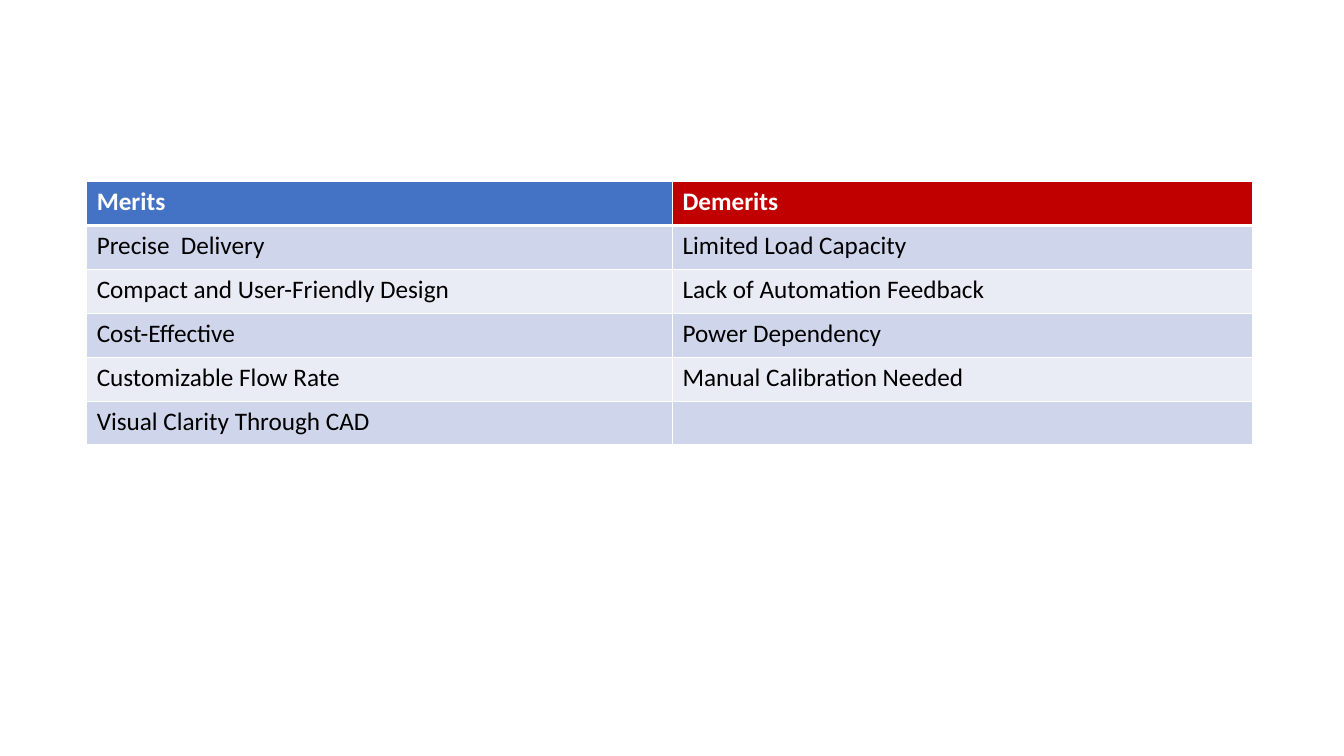
from dataclasses import dataclass

from lxml import etree
from pptx import Presentation
from pptx.dml.color import RGBColor
from pptx.oxml.ns import qn
from pptx.util import Inches, Pt

COLORS = {
    "merits": "4472C4",
    "demerits": "C00000",
    "band_dark": "CFD5EA",
    "band_light": "E9EBF5",
    "white": "FFFFFF",
    "black": "000000",
}
ROW_HEIGHT = 0.436
THIN, THICK = 1, 3


@dataclass(frozen=True)
class Column:
    title: str
    header_color: str
    width: float
    items: tuple[str, ...]


COLUMNS = (
    Column("Merits", "merits", 5.81, (
        "Precise  Delivery",
        "Compact and User-Friendly Design",
        "Cost-Effective",
        "Customizable Flow Rate",
        "Visual Clarity Through CAD",
    )),
    Column("Demerits", "demerits", 5.75, (
        "Limited Load Capacity",
        "Lack of Automation Feedback",
        "Power Dependency",
        "Manual Calibration Needed",
        "",
    )),
)


def set_borders(cell, top: float, bottom: float) -> None:
    properties = cell._tc.get_or_add_tcPr()
    widths = {"lnL": THIN, "lnR": THIN, "lnT": top, "lnB": bottom}
    for tag, width in widths.items():
        line = etree.SubElement(properties, qn(f"a:{tag}"), w=str(Pt(width)))
        fill = etree.SubElement(line, qn("a:solidFill"))
        etree.SubElement(fill, qn("a:srgbClr"), val=COLORS["white"])


def fill_cell(cell, text: str, row: int, fill_color: str) -> None:
    is_header = row == 0
    set_borders(cell, THICK if row == 1 else THIN, THICK if is_header else THIN)
    cell.fill.solid()
    cell.fill.fore_color.rgb = RGBColor.from_string(COLORS[fill_color])
    cell.text_frame.text = text
    for run in cell.text_frame.paragraphs[0].runs:
        run.font.name = "Calibri"
        run.font.size = Pt(18)
        run.font.bold = is_header
        text_color = "white" if is_header else "black"
        run.font.color.rgb = RGBColor.from_string(COLORS[text_color])


def add_comparison(slide, columns: tuple[Column, ...]) -> None:
    row_count = 1 + len(columns[0].items)
    table = slide.shapes.add_table(
        row_count, len(columns), Inches(0.86), Inches(1.8),
        Inches(sum(column.width for column in columns)),
        Inches(row_count * ROW_HEIGHT),
    ).table
    for table_row in table.rows:
        table_row.height = Inches(ROW_HEIGHT)
    for index, column in enumerate(columns):
        table.columns[index].width = Inches(column.width)
        fill_cell(table.cell(0, index), column.title, 0, column.header_color)
        for row, item in enumerate(column.items, start=1):
            band = "band_dark" if row % 2 else "band_light"
            fill_cell(table.cell(row, index), item, row, band)


def main() -> None:
    presentation = Presentation()
    presentation.slide_width = Inches(13.33)
    presentation.slide_height = Inches(7.5)
    slide = presentation.slides.add_slide(presentation.slide_layouts[6])
    add_comparison(slide, COLUMNS)
    presentation.save("out.pptx")


if __name__ == "__main__":
    main()
